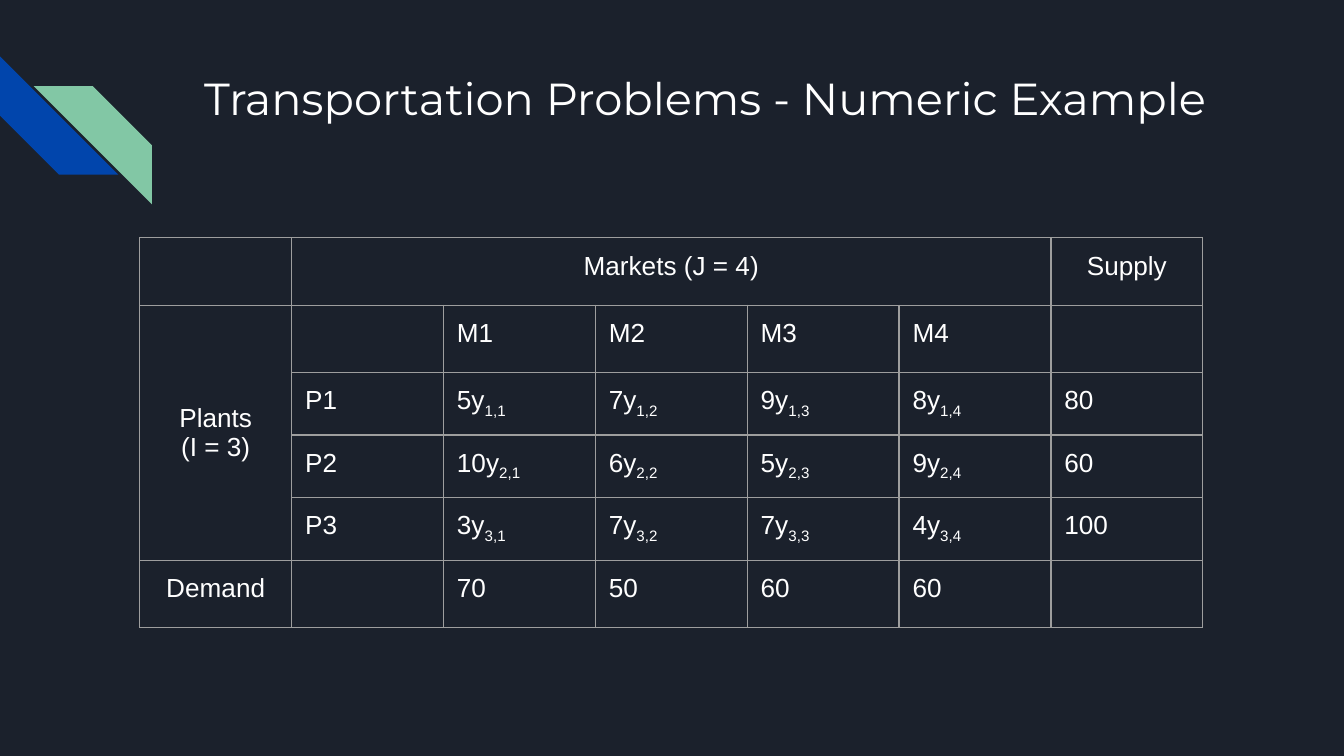
from dataclasses import dataclass

from lxml.etree import SubElement
from pptx import Presentation
from pptx.dml.color import RGBColor
from pptx.enum.shapes import MSO_SHAPE
from pptx.enum.text import MSO_ANCHOR, PP_ALIGN
from pptx.oxml.ns import qn
from pptx.util import Inches, Pt


@dataclass(frozen=True)
class Theme:
    """Colours, fonts and sizes of the slide."""
    background: str = "1B212C"
    blue: str = "0145AC"
    green: str = "82C7A5"
    text: str = "FFFFFF"
    grid: str = "9E9E9E"
    title_font: str = "Montserrat"
    body_font: str = "Arial"
    title_size: int = 24
    body_size: int = 14
    empty_size: int = 18
    grid_width: float = 0.75
    inset: float = 0.1


def add_span(para, text, *, font, size, color, subscript=False):
    """Append formatted text to a paragraph."""
    span = para.add_run()
    span.text = text
    span.font.name = font
    span.font.size = Pt(size)
    span.font.color.rgb = RGBColor.from_string(color)
    if subscript:
        span._r.get_or_add_rPr().set("baseline", "-25000")


class SlideBuilder:
    """Holds the theme and the current page."""

    def __init__(self, page, theme):
        """Paint the page background."""
        self.page = page
        self.theme = theme
        page.background.fill.solid()
        page.background.fill.fore_color.rgb = RGBColor.from_string(theme.background)

    def stripe(self, left, top, size, color, rotation):
        """Add a diagonal stripe."""
        shape = self.page.shapes.add_shape(
            MSO_SHAPE.DIAGONAL_STRIPE, Inches(left), Inches(top), Inches(size), Inches(size))
        shape.rotation = rotation
        shape.shadow.inherit = False
        shape.fill.solid()
        shape.fill.fore_color.rgb = RGBColor.from_string(color)
        shape.line.fill.background()

    def title(self, text, left, top, width, height):
        """Add the slide title."""
        box = self.page.shapes.add_textbox(
            Inches(left), Inches(top), Inches(width), Inches(height))
        frame = box.text_frame
        frame.word_wrap = True
        frame.margin_left = frame.margin_right = Inches(self.theme.inset)
        frame.margin_top = frame.margin_bottom = Inches(self.theme.inset)
        add_span(frame.paragraphs[0], text, font=self.theme.title_font,
                 size=self.theme.title_size, color=self.theme.text)

    def table(self, left, top, column_width, row_height, rows, columns):
        """Add an unfilled table with a thin grid."""
        table = self.page.shapes.add_table(
            rows, columns, Inches(left), Inches(top),
            Inches(column_width * columns), Inches(row_height * rows)).table
        table.first_row = table.horz_banding = False
        for column in table.columns:
            column.width = Inches(column_width)
        for row in table.rows:
            row.height = Inches(row_height)
        for cell in table.iter_cells():
            cell.margin_left = cell.margin_right = Inches(self.theme.inset)
            cell.margin_top = cell.margin_bottom = Inches(self.theme.inset)
            self.cell_borders(cell)
            cell.fill.background()
        return table

    def cell_borders(self, cell):
        """Draw the four borders of a cell."""
        properties = cell._tc.get_or_add_tcPr()
        for side in ("a:lnL", "a:lnR", "a:lnT", "a:lnB"):
            line = SubElement(properties, qn(side), w=str(Pt(self.theme.grid_width)))
            fill = SubElement(line, qn("a:solidFill"))
            SubElement(fill, qn("a:srgbClr"), val=self.theme.grid)

    def cell_text(self, cell, *lines, subscript="", align=None):
        """Write lines into a cell, with an optional subscript at the end."""
        style = {"font": self.theme.body_font, "size": self.theme.body_size,
                 "color": self.theme.text}
        frame = cell.text_frame
        for index, text in enumerate(lines):
            para = frame.add_paragraph() if index else frame.paragraphs[0]
            para.alignment = align
            add_span(para, text, **style)
        if subscript:
            add_span(para, subscript, subscript=True, **style)

    def empty_cells(self, table):
        """Give cells without text the body font."""
        for cell in table.iter_cells():
            if not cell.text:
                mark = SubElement(cell.text_frame.paragraphs[0]._p, qn("a:endParaRPr"),
                                  sz=str(self.theme.empty_size * 100))
                SubElement(mark, qn("a:latin"), typeface=self.theme.body_font)


def main():
    """Build the transportation problem slide."""
    deck = Presentation()
    deck.slide_width = Inches(10)
    deck.slide_height = deck.slide_width * 9 // 16
    theme = Theme()
    builder = SlideBuilder(deck.slides.add_slide(deck.slide_layouts[6]), theme)
    builder.stripe(0, 0.42, 0.88, theme.blue, 270)
    builder.stripe(0.25, 0.64, 0.88, theme.green, 90)
    builder.title("Transportation Problems - Numeric Example", 1.42, 0.43, 7.7, 1)

    costs = [[5, 7, 9, 8], [10, 6, 5, 9], [3, 7, 7, 4]]
    supply = [80, 60, 100]
    demand = [70, 50, 60, 60]
    table = builder.table(1.04, 1.77, 1.13, 0.42, rows=6, columns=7)
    table.cell(0, 1).merge(table.cell(0, 5))
    table.cell(1, 0).merge(table.cell(4, 0))
    table.cell(1, 0).vertical_anchor = MSO_ANCHOR.MIDDLE

    headings = {(0, 1): ["Markets (J = 4)"], (0, 6): ["Supply"],
                (1, 0): ["Plants", "(I = 3)"], (5, 0): ["Demand"]}
    for position, lines in headings.items():
        builder.cell_text(table.cell(*position), *lines, align=PP_ALIGN.CENTER)
    for market, amount in enumerate(demand, 1):
        builder.cell_text(table.cell(1, market + 1), f"M{market}")
        builder.cell_text(table.cell(5, market + 1), str(amount))
    for plant, (plant_costs, amount) in enumerate(zip(costs, supply), 1):
        row = plant + 1
        builder.cell_text(table.cell(row, 1), f"P{plant}")
        for market, cost in enumerate(plant_costs, 1):
            builder.cell_text(table.cell(row, market + 1), f"{cost}y",
                              subscript=f"{plant},{market}")
        builder.cell_text(table.cell(row, 6), str(amount))
    builder.empty_cells(table)
    deck.save("out.pptx")


if __name__ == "__main__":
    main()
